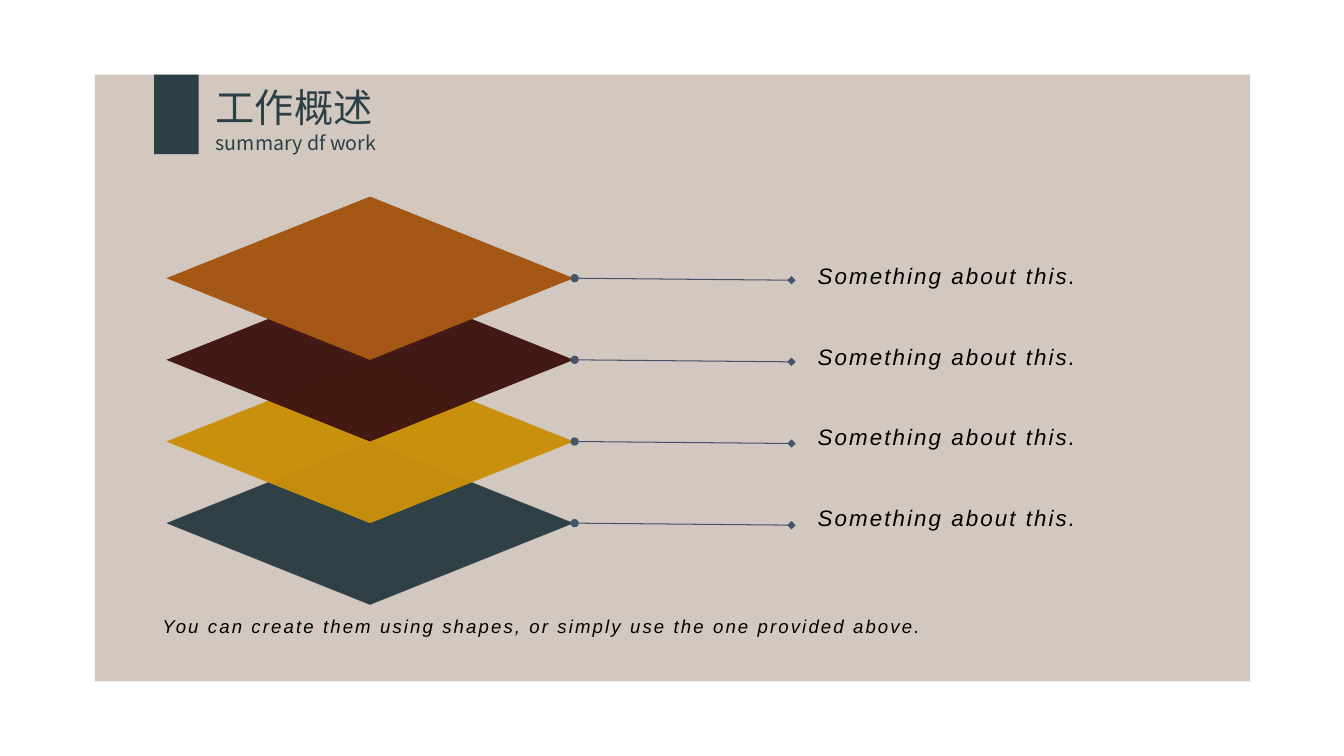
from dataclasses import dataclass
from pptx import Presentation
from pptx.dml.color import RGBColor
from pptx.enum.shapes import MSO_CONNECTOR, MSO_SHAPE
from pptx.enum.text import MSO_ANCHOR, MSO_AUTO_SIZE, PP_ALIGN
from pptx.oxml.ns import qn
from pptx.util import Inches, Pt
from lxml.etree import SubElement


@dataclass(frozen=True)
class Theme:
    """Colours, fonts and type sizes of the slide."""
    panel: str = "D1C7BD"
    slate: str = "2C3F45"
    gold: str = "C88F0A"
    wine: str = "401611"
    rust: str = "A55815"
    line: str = "44546A"
    ink: str = "000000"
    head: str = "Noto Sans CJK SC"
    body: str = "Arial"
    title: float = 28
    sub: float = 14
    label: float = 16
    note: float = 13.3


THEME = Theme()


def add_block(slide, kind, box, color, alpha=100):
    """Add a plain filled shape with an opacity in percent."""
    shape = slide.shapes.add_shape(kind, *map(Inches, box))
    shape.shadow.inherit = False
    shape.fill.solid()
    shape.fill.fore_color.rgb = RGBColor.from_string(color)
    shape.line.fill.background()
    if alpha < 100:
        tone = shape.fill._xPr.find(qn("a:solidFill"))[0]
        SubElement(tone, qn("a:alpha"), val=str(alpha * 1000))


def style_run(run, size, font, color):
    """Set size, typeface and colour of a run."""
    run.font.size = Pt(size)
    run.font.color.rgb = RGBColor.from_string(color)
    run.font.name = font
    SubElement(run.font._element, qn("a:ea"), typeface=font)


def add_head(slide, box):
    """Place the tab and the two-line title."""
    left, top, width, height = box
    add_block(slide, MSO_SHAPE.RECTANGLE, (left, top, 0.44, 0.79), THEME.slate)
    title = slide.shapes.title
    title.left, title.top = Inches(left + 0.51), Inches(top + 0.04)
    title.width, title.height = Inches(width - 0.51), Inches(height - 0.04)
    frame = title.text_frame
    frame.text = "工作概述\nsummary df work"
    frame.auto_size = MSO_AUTO_SIZE.NONE
    frame.vertical_anchor = MSO_ANCHOR.TOP
    for para, size in zip(frame.paragraphs, (THEME.title, THEME.sub)):
        para.alignment = PP_ALIGN.LEFT
        style_run(para.runs[0], size, THEME.head, THEME.slate)


def add_note(slide, box, text, size):
    """Add a line of spaced italic text."""
    frame = slide.shapes.add_textbox(*map(Inches, box)).text_frame
    frame.word_wrap = True
    frame.margin_left = frame.margin_right = Inches(0.13)
    frame.margin_top = frame.margin_bottom = Inches(0.13)
    frame.text = text
    run = frame.paragraphs[0].runs[0]
    style_run(run, size, THEME.body, THEME.ink)
    run.font.italic = True
    run.font._element.set("spc", "150")


def add_lead(slide, start, end):
    """Draw a leader from a dot to a diamond."""
    lead = slide.shapes.add_connector(
        MSO_CONNECTOR.STRAIGHT, *map(Inches, start + end))
    lead.line.width = Pt(0.75)
    lead.line.color.rgb = RGBColor.from_string(THEME.line)
    stroke = lead.line._get_or_add_ln()
    SubElement(stroke, qn("a:headEnd"), type="oval")
    SubElement(stroke, qn("a:tailEnd"), type="diamond")
    SubElement(lead._element.spPr, qn("a:effectLst"))


def add_stack(slide, box):
    """Stack four diamonds, each with a leader and a label."""
    left, top, width, height = box
    step = height / 5
    tiers = ((THEME.rust, 100), (THEME.wine, 98),
             (THEME.gold, 98), (THEME.slate, 98))
    for row, (color, alpha) in reversed(list(enumerate(tiers))):
        add_block(slide, MSO_SHAPE.DIAMOND,
                  (left, top + row * step, 4.04, 2 * step), color, alpha)
    for row in range(len(tiers)):
        mid = top + (row + 1) * step
        add_lead(slide, (left + 4.05, mid), (left + 6.2, mid + 0.02))
        add_note(slide, (left + 6.33, top + 0.52 + row * 0.8, width - 6.33, 0.59),
                 "Something about this.", THEME.label)


def main():
    """Build and save the slide."""
    deck = Presentation()
    deck.slide_width, deck.slide_height = Inches(13.33), Inches(7.5)
    slide = deck.slides.add_slide(deck.slide_layouts[5])
    add_block(slide, MSO_SHAPE.RECTANGLE, (0.94, 0.74, 11.46, 6.02),
              THEME.panel, 97)
    tree = slide.shapes._spTree
    tree.append(slide.shapes.title._element)
    add_head(slide, (1.53, 0.74, 2.97, 1.18))
    add_note(slide, (1.48, 5.99, 10.9, 0.59),
             "You can create them using shapes, or simply use the one provided above.",
             THEME.note)
    add_stack(slide, (1.65, 1.95, 11.25, 4.05))
    deck.save("out.pptx")


if __name__ == "__main__":
    main()
